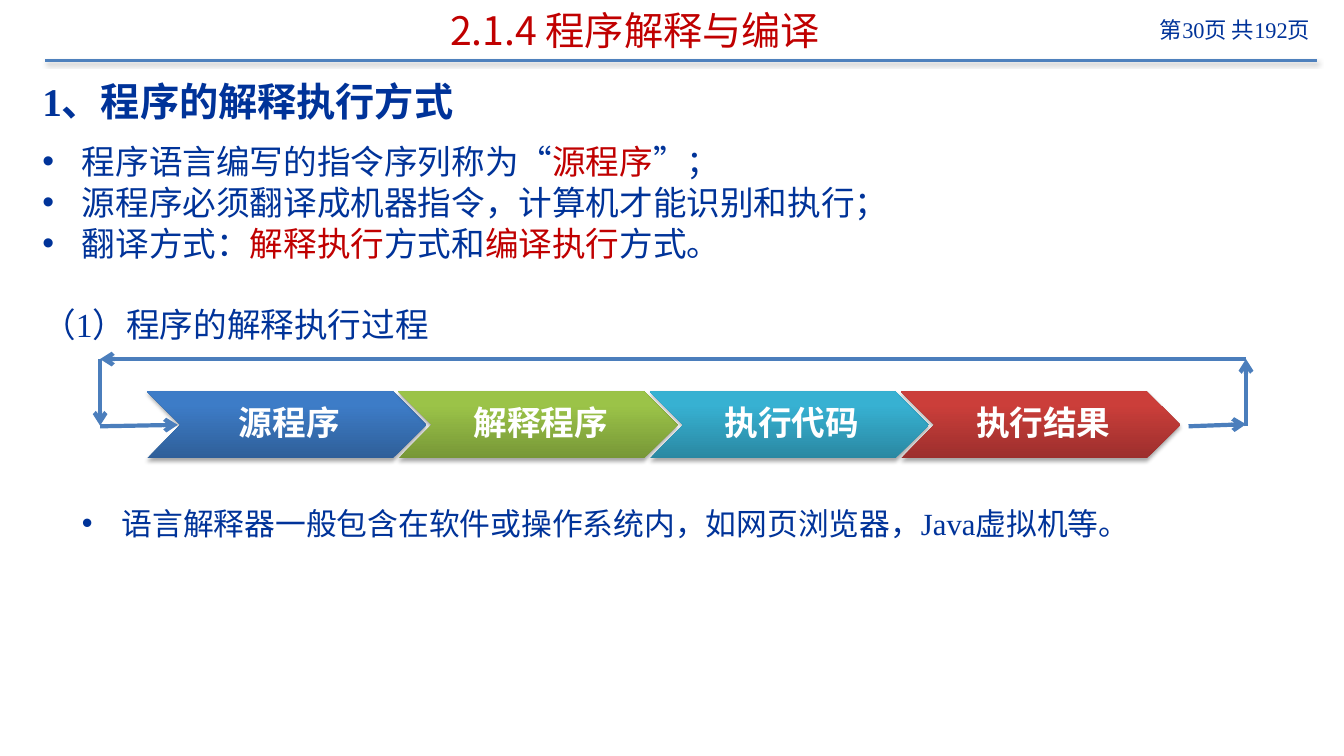
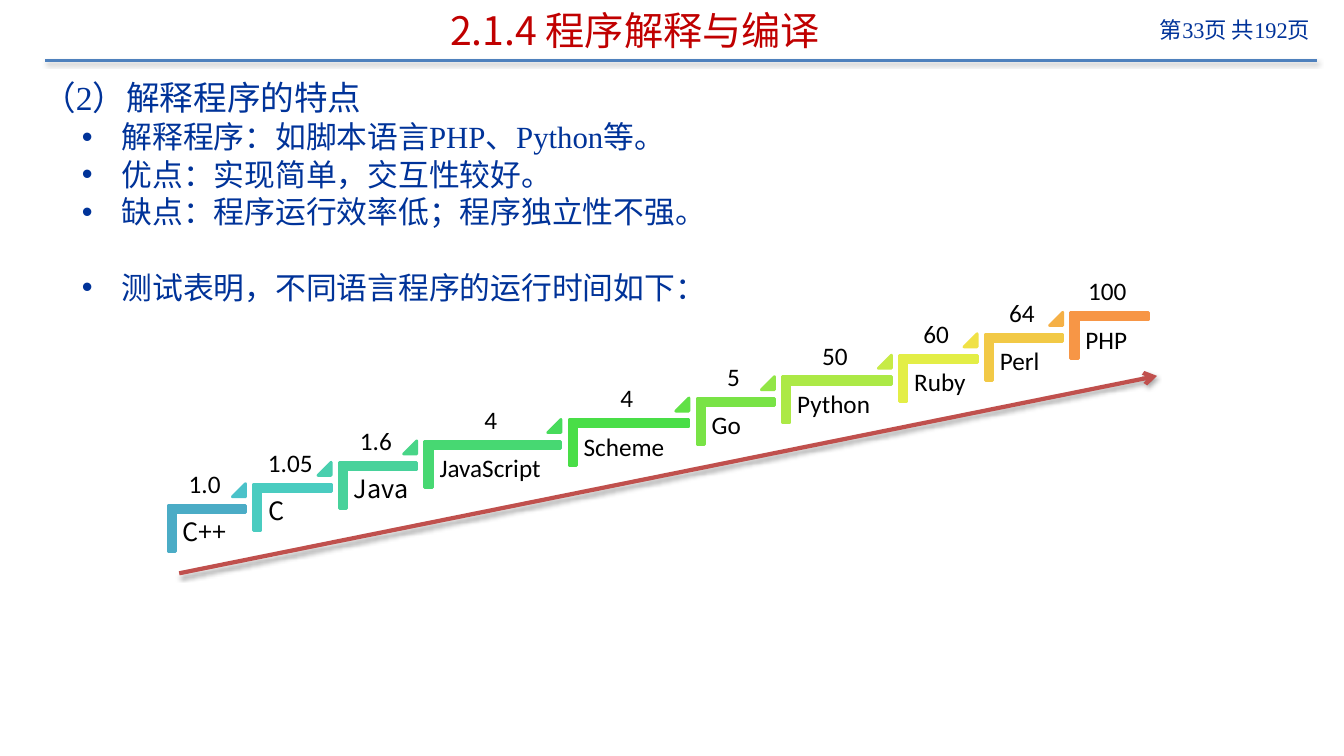
from pptx import Presentation
from pptx.dml.color import RGBColor
from pptx.enum.shapes import MSO_CONNECTOR, MSO_SHAPE
from pptx.enum.text import MSO_ANCHOR, MSO_AUTO_SIZE, PP_ALIGN
from pptx.oxml.ns import qn
from pptx.util import Pt
from lxml import etree

CHEVRON, CORNER, TRIANGLE = MSO_SHAPE.CHEVRON, MSO_SHAPE.CORNER, MSO_SHAPE.ISOSCELES_TRIANGLE
STRAIGHT = MSO_CONNECTOR.STRAIGHT
TOP, MIDDLE = MSO_ANCHOR.TOP, MSO_ANCHOR.MIDDLE
LEFT, CENTER, RIGHT = PP_ALIGN.LEFT, PP_ALIGN.CENTER, PP_ALIGN.RIGHT
NO_AUTOFIT = MSO_AUTO_SIZE.NONE

NAVY = RGBColor(0x00, 0x33, 0x99)
RED = RGBColor(0xC0, 0x00, 0x00)
BLACK = RGBColor(0x00, 0x00, 0x00)
WHITE = RGBColor(0xFF, 0xFF, 0xFF)
RULE_BLUE = RGBColor(0x4F, 0x81, 0xBD)
LOOP_BLUE = RGBColor(0x4B, 0x7E, 0xBC)
TREND_RED = RGBColor(0xC0, 0x50, 0x4D)

SERIF, SANS, CJK = "Times New Roman", "Calibri", "Noto Sans CJK SC"
TITLE = "2.1.4 程序解释与编译"
PAGE_COUNT = 192
HANGING = 28.35
LINE_FACTOR = 1.22

STAGES = [
    ("源程序", "2F5F99", "3D7CC7"),
    ("解释程序", "779737", "9BC348"),
    ("执行代码", "2A88A2", "37B1D2"),
    ("执行结果", "9C2F2D", "CB3E3A"),
]
LOOP_ARROWS = [
    ((849, 304.5), (890, 303)),
    ((890, 304.5), (890, 256.5)),
    ((890, 256.5), (71.5, 256.5)),
    ((71.5, 256.5), (71.5, 304)),
    ((71.5, 304.5), (127, 303.5)),
]
STEPS = [
    ("C++", "1.0", 55.4, CJK, "4BACC6", "4AC2C9"),
    ("C", "1.05", 55.4, CJK, "4ACCC0", "49CFAE"),
    ("Java", "1.6", 55.4, CJK, "48D29B", "48D587"),
    ("JavaScript", "4", 97.2, SANS, "47D872", "47DB5B"),
    ("Scheme", "4", 85.7, SANS, "49DE47", "60E146"),
    ("Go", "5", 55.4, SANS, "79E346", "92E646"),
    ("Python", "50", 77.8, SANS, "ACE946", "C7EB46"),
    ("Ruby", "60", 55.4, SANS, "E3EE46", "F0E146"),
    ("Perl", "64", 55.4, SANS, "F2C946", "F5B046"),
    ("PHP", "100", 55.4, SANS, "F79646", None),
]


def points(*values):
    """Turn plain numbers into lengths."""
    return [Pt(value) for value in values]


def place(shape, left, top, width, height):
    """Move and size a shape."""
    shape.left, shape.top, shape.width, shape.height = points(left, top, width, height)


def format_span(span, size, font, color, bold=False):
    """Format one run for Latin and Chinese text."""
    span.font.size = Pt(size)
    span.font.bold = bold
    span.font.color.rgb = color
    span.font.name = font
    etree.SubElement(span.font._element, qn("a:ea"), typeface=CJK)


def set_text(shape, text, size, font, color, align=LEFT, bold=False,
             anchor=TOP, margins=(7.2, 3.6, 7.2, 3.6), spacing=None):
    """Write one formatted line of text in a shape."""
    frame = shape.text_frame
    frame.text = text
    frame.word_wrap = True
    frame.auto_size = NO_AUTOFIT
    frame.vertical_anchor = anchor
    (frame.margin_left, frame.margin_top,
     frame.margin_right, frame.margin_bottom) = points(*margins)
    para = frame.paragraphs[0]
    para.alignment = align
    para.line_spacing = spacing
    format_span(para.runs[0], size, font, color, bold)


def add_label(slide, box, *text, **style):
    """Add a text box with one line."""
    label = slide.shapes.add_textbox(*points(*box))
    set_text(label, *text, **style)


def cast_shadow(effects, alpha, distance):
    """Put a soft downward shadow in an effect list."""
    shadow = etree.SubElement(
        effects, qn("a:outerShdw"), blurRad=str(Pt(3.1)), dist=str(Pt(distance)),
        dir="5400000", rotWithShape="0")
    color = etree.SubElement(shadow, qn("a:srgbClr"), val="000000")
    etree.SubElement(color, qn("a:alpha"), val=str(alpha * 1000))


def add_line(slide, start, end, color, width, arrow=False, shadow=None):
    """Add a straight line, with an optional arrowhead and shadow."""
    line = slide.shapes.add_connector(STRAIGHT, *points(*start, *end))
    line.line.color.rgb = color
    line.line.width = Pt(width)
    properties = line._element.spPr
    if arrow:
        etree.SubElement(properties.find(qn("a:ln")), qn("a:tailEnd"), type="arrow")
    effects = etree.SubElement(properties, qn("a:effectLst"))
    if shadow:
        cast_shadow(effects, *shadow)


def add_plain_shape(slide, kind, box, color):
    """Add a preset shape in one flat colour."""
    shape = slide.shapes.add_shape(kind, *points(*box))
    shape.shadow.inherit = False
    shape.fill.solid()
    shape.fill.fore_color.rgb = color
    shape.line.color.rgb = color
    shape.line.width = Pt(2)
    return shape


def set_indent(para, level, bullet):
    """Set the outline level, indent and bullet of a paragraph."""
    para.level = level
    properties = para._p.get_or_add_pPr()
    properties.set("marL", str(Pt(HANGING * level if bullet else 0)))
    properties.set("indent", str(Pt(-HANGING if bullet else 0)))
    if bullet:
        etree.SubElement(properties, qn("a:buFont"), typeface="Arial")
        etree.SubElement(properties, qn("a:buChar"), char="•")
    else:
        etree.SubElement(properties, qn("a:buNone"))


def fill_body(slide, lines):
    """Fill the body; each second part between bars is red."""
    frame = slide.placeholders[1].text_frame
    frame.word_wrap = True
    frame.auto_size = NO_AUTOFIT
    for index, (text, level, bullet, size, gap) in enumerate(lines):
        para = frame.add_paragraph() if index else frame.paragraphs[0]
        set_indent(para, level, bullet)
        para.alignment = LEFT
        para.line_spacing = Pt(round(size * LINE_FACTOR, 1))
        para.space_before = Pt(gap)
        for number, part in enumerate(text.split("|")):
            span = para.add_run()
            span.text = part
            format_span(span, size, SERIF, RED if number % 2 else NAVY, bold=level == 0)


def prepare_layout(deck):
    """Place the title and body once, on the layout."""
    layout = deck.slide_layouts[1]
    for holder in layout.placeholders:
        if holder.placeholder_format.idx == 0:
            place(holder, 55.5, 1.5, 796, 40)
        elif holder.placeholder_format.idx == 1:
            place(holder, 23, 51, 917, 471)
    return layout


def add_page(deck, layout, number, lines):
    """Add a slide with title, rule, page number and body."""
    slide = deck.slides.add_slide(layout)
    set_text(slide.shapes.title, TITLE, 28, CJK, RED, align=CENTER, anchor=MIDDLE)
    fill_body(slide, lines)
    add_line(slide, (32.5, 43.5), (941, 43.5), RULE_BLUE, 2, shadow=(38, 1.6))
    add_label(slide, (780, 8, 163, 32), f"第{number}页 共{PAGE_COUNT}页",
              16, SERIF, NAVY, align=RIGHT)
    return slide


def add_process(slide):
    """Draw the chevron process and the arrows that loop around it."""
    for index, (name, dark, light) in enumerate(STAGES):
        chevron = slide.shapes.add_shape(
            CHEVRON, *points(105 + index * 179.5, 279.5, 199.5, 48))
        chevron.line.fill.background()
        chevron.fill.gradient()
        chevron.fill.gradient_angle = 90
        for stop, color, position in zip(chevron.fill.gradient_stops, (dark, light), (0, 0.8)):
            stop.color.rgb = RGBColor.from_string(color)
            stop.position = position
        chevron.shadow.inherit = False
        cast_shadow(chevron._element.spPr.find(qn("a:effectLst")), 35, 1.8)
        set_text(chevron, name, 24, CJK, WHITE, align=CENTER, bold=True,
                 anchor=MIDDLE, margins=(7, 3, 3, 3), spacing=0.9)
    for start, end in LOOP_ARROWS:
        add_line(slide, start, end, LOOP_BLUE, 3, arrow=True)


def add_staircase(slide):
    """Draw the rising steps of run time and the trend arrow."""
    left, depth, gap, rise, marker = 120, 33, 5.75, 15.3, 9.4
    for index, (name, value, width, font, color, marker_color) in enumerate(STEPS):
        top = 361 - index * rise
        middle_x, middle_y = left + width / 2, top + depth / 2
        corner = add_plain_shape(
            slide, CORNER, (middle_x - depth / 2, middle_y - width / 2, depth, width),
            RGBColor.from_string(color))
        corner.rotation = 90
        corner.adjustments[0] = corner.adjustments[1] = 0.16
        add_label(slide, (left + 5.5, top + 5.5, width - 5, 44), name, 18, font, BLACK,
                  margins=(5, 5, 5, 5), spacing=0.9)
        add_label(slide, (left - 1.5, top - 30, width, 29), value, 18, SANS, BLACK,
                  align=CENTER)
        if marker_color:
            triangle = add_plain_shape(
                slide, TRIANGLE, (left + width - marker, top - 15.5, marker, marker),
                RGBColor.from_string(marker_color))
            triangle.adjustments[0] = 1
        left += width + gap
    add_line(slide, (128, 409.5), (826.5, 268.5), TREND_RED, 3, arrow=True, shadow=(35, 1.8))


def main():
    """Build and save the deck."""
    deck = Presentation()
    deck.slide_width, deck.slide_height = points(960, 540)
    layout = prepare_layout(deck)
    add_process(add_page(deck, layout, 30, [
        ("1、程序的解释执行方式", 0, False, 28, 0),
        ("程序语言编写的指令序列称为“|源程序|”；", 1, True, 24, 11.5),
        ("源程序必须翻译成机器指令，计算机才能识别和执行；", 1, True, 24, 0),
        ("翻译方式：|解释执行|方式和|编译执行|方式。", 1, True, 24, 0),
        ("（1）程序的解释执行过程", 1, False, 24, 28.5),
        ("语言解释器一般包含在软件或操作系统内，如网页浏览器，Java虚拟机等。", 2, True, 22, 114),
    ]))
    add_staircase(add_page(deck, layout, 33, [
        ("（2）解释程序的特点", 1, False, 24, 0),
        ("解释程序：如脚本语言PHP、Python等。", 2, True, 22, 0),
        ("优点：实现简单，交互性较好。", 2, True, 22, 0),
        ("缺点：程序运行效率低；程序独立性不强。", 2, True, 22, 0),
        ("测试表明，不同语言程序的运行时间如下：", 2, True, 22, 27),
    ]))
    deck.save("out.pptx")


if __name__ == "__main__":
    main()
